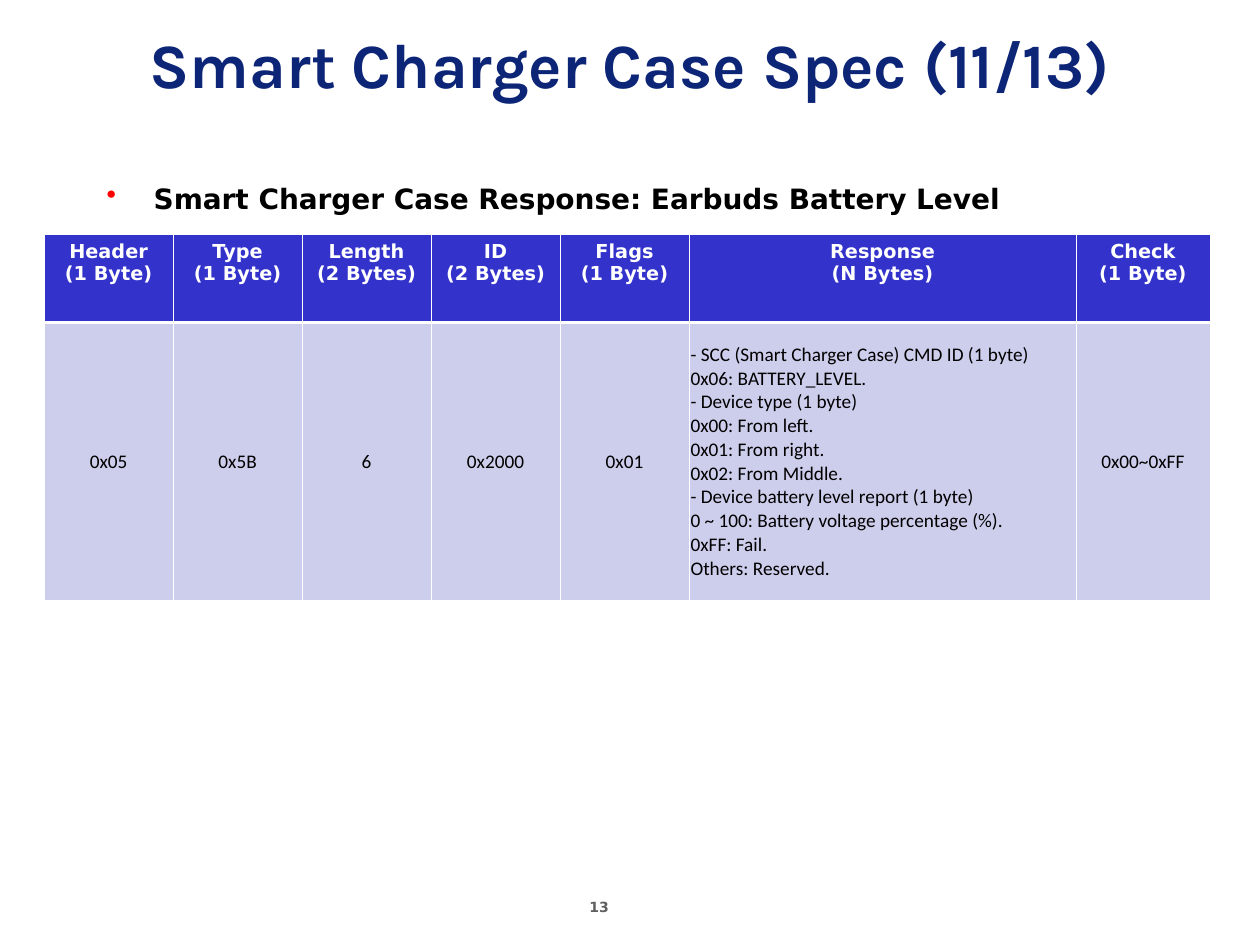
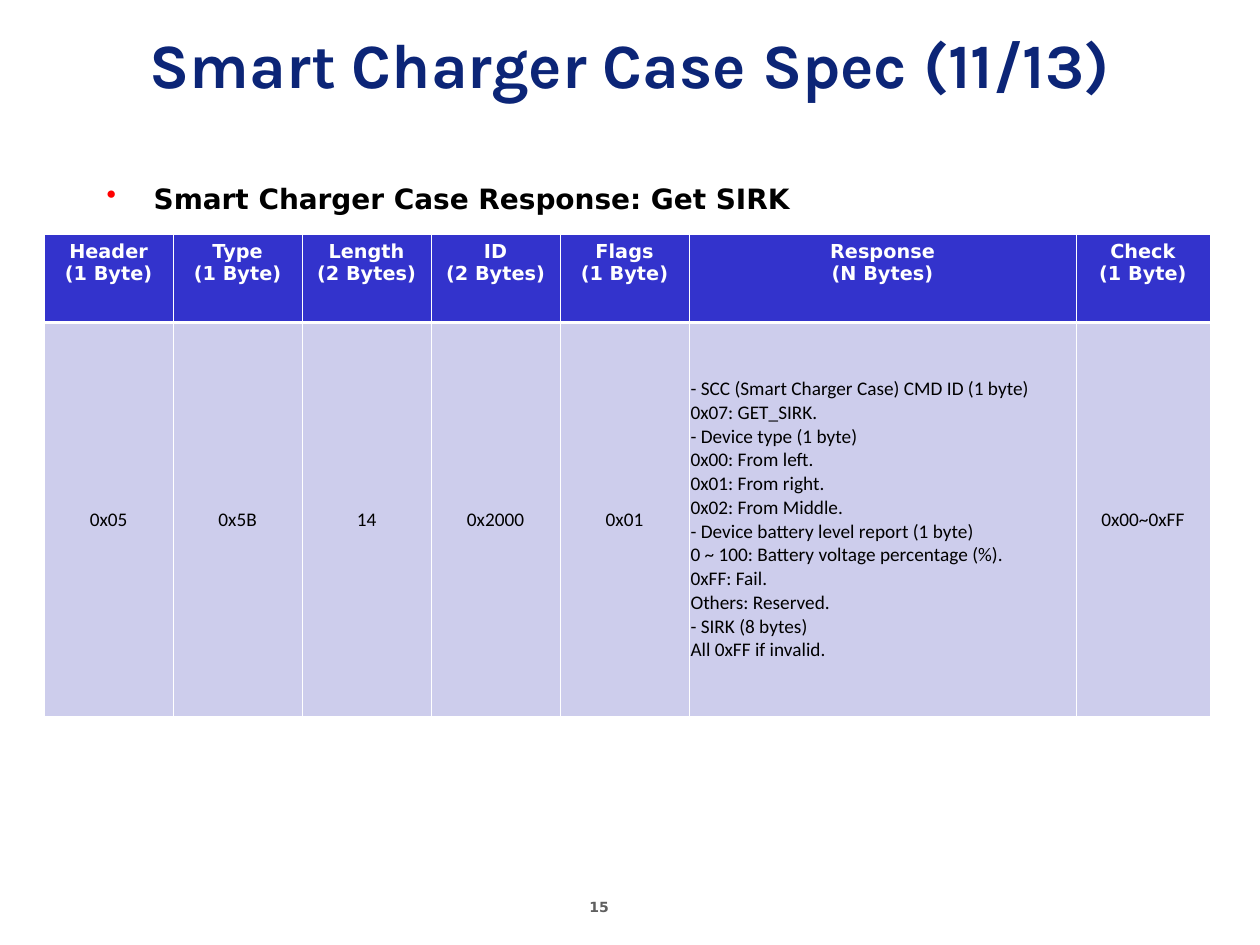
from lxml import etree
from pptx import Presentation
from pptx import util as u
from pptx.dml.color import RGBColor
from pptx.enum import text as t
from pptx.oxml import ns

# Content
TITLE = "Smart Charger Case Spec (11/13)"
FIELDS = [
    ("Header", "1 Byte"), ("Type", "1 Byte"), ("Length", "2 Bytes"),
    ("ID", "2 Bytes"), ("Flags", "1 Byte"), ("Response", "N Bytes"),
    ("Check", "1 Byte"),
]
COMMAND = "- SCC (Smart Charger Case) CMD ID (1 byte)"
DEVICE_REPORT = [
    "- Device type (1 byte)",
    "0x00: From left.",
    "0x01: From right.",
    "0x02: From Middle.",
    "- Device battery level report (1 byte)",
    "0 ~ 100: Battery voltage percentage (%).",
    "0xFF: Fail.",
    "Others: Reserved.",
]
PAGES = [
    {"number": "13", "topic": "Earbuds Battery Level", "length": "6",
     "response": [COMMAND, "0x06: BATTERY_LEVEL.", *DEVICE_REPORT],
     "row_height": 5.61},
    {"number": "15", "topic": "Get SIRK", "length": "14",
     "response": [COMMAND, "0x07: GET_SIRK.", *DEVICE_REPORT,
                  "- SIRK (8 bytes)", "All 0xFF if invalid."],
     "row_height": 7.95},
]

# Shared style
NAVY = RGBColor(0x0C, 0x25, 0x77)
BLUE = RGBColor(0x33, 0x33, 0xCC)
LAVENDER = RGBColor(0xCD, 0xCD, 0xEC)
GREY = RGBColor(0x5F, 0x5F, 0x5F)
RED = RGBColor(0xFF, 0x00, 0x00)
BLACK = RGBColor(0, 0, 0)
WHITE = RGBColor(0xFF, 0xFF, 0xFF)
TITLE_FONT, HEADING_FONT, BODY_FONT = "Karla", "DejaVu Sans", "Calibri"

# Measures in centimetres
WIDTH, HEIGHT = 25.4, 19.05
TABLE_LEFT, TABLE_TOP = 0.89, 4.72
COLUMNS = [2.6] * 5 + [7.8, 2.7]
HEADER_HEIGHT = 1.78
BULLET_INDENT = 0.95
THIN, THICK = 0.45, 1.47  # rules, in points


def style(frame, font, size, color, bold=True, align=t.PP_ALIGN.LEFT):
    for paragraph in frame.paragraphs:
        paragraph.alignment = align
        for run in paragraph.runs:
            run.font.name, run.font.size = font, u.Pt(size)
            run.font.bold, run.font.color.rgb = bold, color


def add_text(slide, words, box, *look, **options):
    frame = slide.shapes.add_textbox(*map(u.Cm, box)).text_frame
    frame.word_wrap = True
    frame.text = words
    style(frame, *look, **options)
    return frame


def add_bullet(paragraph):
    props = paragraph._p.get_or_add_pPr()
    props.set("marL", str(u.Cm(BULLET_INDENT)))
    props.set("indent", str(-u.Cm(BULLET_INDENT)))
    color = etree.SubElement(props, ns.qn("a:buClr"))
    etree.SubElement(color, ns.qn("a:srgbClr"), val=str(RED))
    etree.SubElement(props, ns.qn("a:buChar"), char="•")


def set_borders(cell, top, bottom):
    props = cell._tc.get_or_add_tcPr()
    for side, points in zip("LRTB", (THIN, THIN, top, bottom)):
        line = etree.SubElement(props, ns.qn(f"a:ln{side}"), w=str(u.Pt(points)))
        fill = etree.SubElement(line, ns.qn("a:solidFill"))
        etree.SubElement(fill, ns.qn("a:srgbClr"), val=str(WHITE))


def fill_cell(cell, words, color, top, bottom):
    set_borders(cell, top, bottom)
    cell.fill.solid()
    cell.fill.fore_color.rgb = color
    cell.text_frame.text = words


def add_packet_table(slide, page):
    heights = [HEADER_HEIGHT, page["row_height"]]
    box = (TABLE_LEFT, TABLE_TOP, sum(COLUMNS), sum(heights))
    packet = slide.shapes.add_table(2, len(FIELDS), *map(u.Cm, box)).table
    for column, width in zip(packet.columns, COLUMNS):
        column.width = u.Cm(width)
    for row, height in zip(packet.rows, heights):
        row.height = u.Cm(height)

    response = "\n".join(page["response"])
    values = ["0x05", "0x5B", page["length"], "0x2000", "0x01", response, "0x00~0xFF"]
    for i, ((field, size), value) in enumerate(zip(FIELDS, values)):
        # Field name and size
        head = packet.cell(0, i)
        fill_cell(head, f"{field}\n({size})", BLUE, THIN, THICK)
        style(head.text_frame, HEADING_FONT, 11, WHITE, align=t.PP_ALIGN.CENTER)
        # Field value
        body = packet.cell(1, i)
        fill_cell(body, value, LAVENDER, THICK, THIN)
        body.margin_left = body.margin_right = u.Cm(0.03)
        body.vertical_anchor = t.MSO_ANCHOR.MIDDLE
        align = t.PP_ALIGN.LEFT if field == "Response" else t.PP_ALIGN.CENTER
        style(body.text_frame, BODY_FONT, 11, BLACK, bold=False, align=align)


def add_page(deck, page):
    slide = deck.slides.add_slide(deck.slide_layouts[6])
    # Page number
    add_text(slide, page["number"], (11.63, 17.98, 1.96, 0.66), HEADING_FONT, 8, GREY)
    # Title
    title = add_text(slide, TITLE, (0, 0, WIDTH, 2.54), TITLE_FONT, 36, NAVY,
                     align=t.PP_ALIGN.CENTER)
    title.vertical_anchor = t.MSO_ANCHOR.MIDDLE
    # Topic
    topic = add_text(slide, f"Smart Charger Case Response: {page['topic']}",
                     (1.9, 3.53, 23.5, 13.13), HEADING_FONT, 16, BLACK)
    topic.paragraphs[0].space_before = u.Pt(4)
    add_bullet(topic.paragraphs[0])
    # Packet layout
    add_packet_table(slide, page)


def main():
    deck = Presentation()
    deck.slide_width, deck.slide_height = u.Cm(WIDTH), u.Cm(HEIGHT)
    for page in PAGES:
        add_page(deck, page)
    deck.save("out.pptx")


if __name__ == "__main__":
    main()
